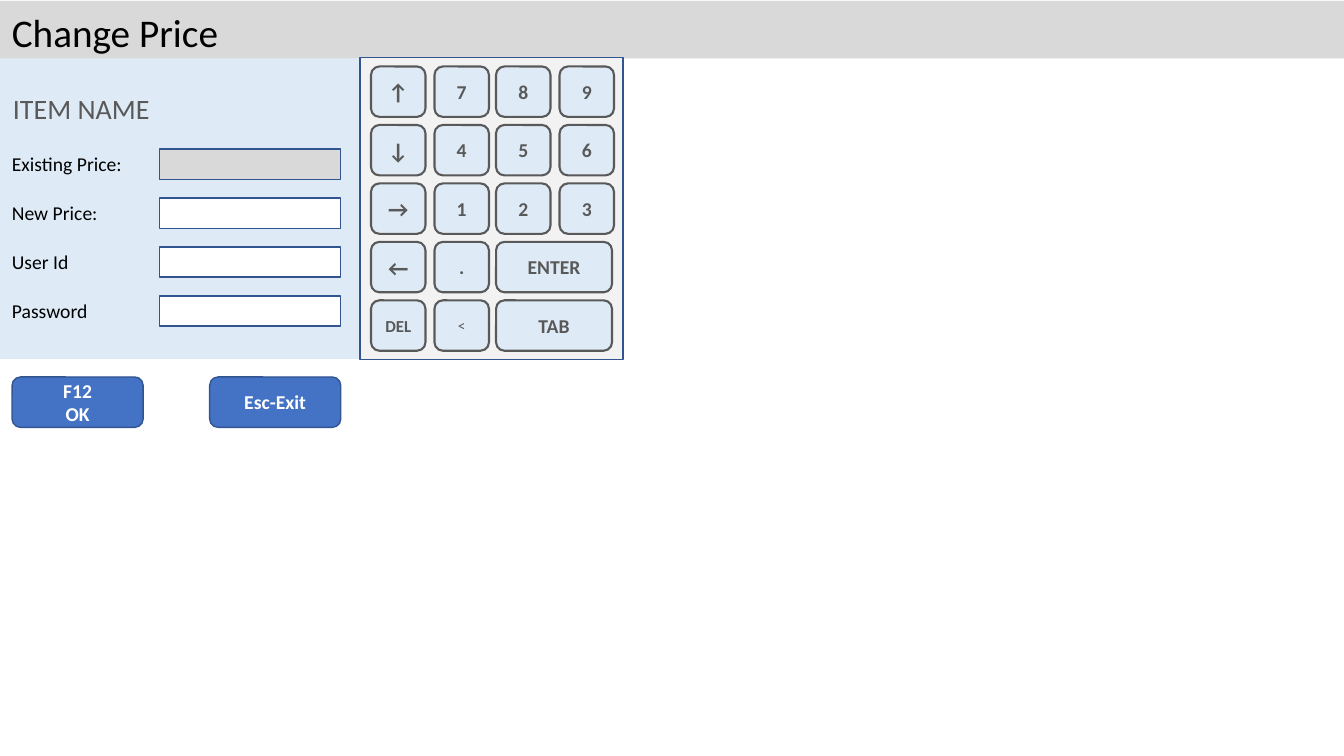
from dataclasses import dataclass

import pptx
import pptx.dml.color
import pptx.enum.shapes
import pptx.enum.text
import pptx.util

Inches = pptx.util.Inches
SHAPES = pptx.enum.shapes.MSO_SHAPE
ALIGN = pptx.enum.text.PP_ALIGN
ANCHOR = pptx.enum.text.MSO_ANCHOR

FONT = "Calibri"
BLACK, WHITE, GREY = "000000", "FFFFFF", "595959"
PALE_BLUE, LIGHT_GREY, PAD_GREY = "DEEBF7", "D9D9D9", "F2F2F2"
BLUE, DARK_BLUE = "4472C4", "325491"

FIELD_TOP, FIELD_PITCH = 1.48, 0.485
KEY_COLUMNS = (3.68, 4.31, 4.92, 5.55)
KEY_TOP, KEY_PITCH = 0.66, 0.58
KEY_WIDTH, WIDE_KEY_WIDTH, KEY_HEIGHT = 0.54, 1.15, 0.5


@dataclass
class Field:
    label: str
    fill: str = WHITE


@dataclass
class Key:
    text: str
    size: float = 14
    bold: bool = True
    width: float = KEY_WIDTH


@dataclass
class Button:
    text: str
    left: float


FIELDS = [Field("Existing Price:", LIGHT_GREY), Field("New Price:"),
          Field("User Id"), Field("Password")]

KEY_ROWS = [
    [Key("↑", 16), Key("7"), Key("8"), Key("9")],
    [Key("↓", 16), Key("4"), Key("5"), Key("6")],
    [Key("→", 16), Key("1"), Key("2"), Key("3")],
    [Key("←", 16), Key("."), Key("ENTER", width=WIDE_KEY_WIDTH)],
    [Key("DEL", 12), Key("<", 11, False), Key("TAB", width=WIDE_KEY_WIDTH)],
]

BUTTONS = [Button("F12\nOK", 0.12), Button("Esc-Exit", 2.08)]


def colour(value: str) -> pptx.dml.color.RGBColor:
    return pptx.dml.color.RGBColor.from_string(value)


def write(box, text: str, *, size: float, color: str = BLACK,
          bold: bool = False, align=ALIGN.LEFT, anchor=ANCHOR.TOP) -> None:
    """Fill a box with text, one paragraph for each line."""
    frame = box.text_frame
    frame.word_wrap = True
    frame.vertical_anchor = anchor
    frame.text = text
    for para in frame.paragraphs:
        para.alignment = align
        for span in para.runs:
            span.font.name = FONT
            span.font.size = pptx.util.Pt(size)
            span.font.bold = bold
            span.font.color.rgb = colour(color)


def add_box(page, left: float, top: float, width: float, height: float, *,
            fill: str, line: str = "", weight: float = 1, kind=SHAPES.RECTANGLE):
    box = page.shapes.add_shape(kind, Inches(left), Inches(top),
                                Inches(width), Inches(height))
    box.shadow.inherit = False
    box.fill.solid()
    box.fill.fore_color.rgb = colour(fill)
    if line:
        box.line.color.rgb = colour(line)
        box.line.width = pptx.util.Pt(weight)
    else:
        box.line.fill.background()
    return box


def add_label(page, text: str, left: float, top: float, width: float,
              height: float, *, size: float, color: str = BLACK) -> None:
    box = page.shapes.add_textbox(Inches(left), Inches(top),
                                  Inches(width), Inches(height))
    write(box, text, size=size, color=color)


def add_field(page, field: Field, top: float) -> None:
    add_box(page, 1.58, top, 1.8, 0.3, fill=field.fill, line=DARK_BLUE)
    add_label(page, field.label, 0.02, top - 0.02, 1.6, 0.34, size=14)


def add_key(page, key: Key, left: float, top: float) -> None:
    box = add_box(page, left, top, key.width, KEY_HEIGHT, fill=PALE_BLUE,
                  line=GREY, weight=1.5, kind=SHAPES.ROUNDED_RECTANGLE)
    write(box, key.text, size=key.size, color=GREY, bold=key.bold,
          align=ALIGN.CENTER, anchor=ANCHOR.MIDDLE)


def add_button(page, button: Button) -> None:
    box = add_box(page, button.left, 3.74, 1.3, 0.5, fill=BLUE,
                  line=DARK_BLUE, kind=SHAPES.ROUNDED_RECTANGLE)
    write(box, button.text, size=14, color=WHITE, bold=True,
          align=ALIGN.CENTER, anchor=ANCHOR.MIDDLE)


def main() -> None:
    deck = pptx.Presentation()
    deck.slide_width, deck.slide_height = Inches(13.33), Inches(7.5)
    page = deck.slides.add_slide(deck.slide_layouts[6])

    # Form panel and title bar
    add_box(page, 0, 0.55, 3.56, 3.01, fill=PALE_BLUE)
    add_box(page, 0, 0.01, 13.33, 0.57, fill=LIGHT_GREY)
    add_label(page, "Change Price", 0.02, 0.03, 3.14, 0.57, size=28)
    add_label(page, "ITEM NAME", 0.03, 0.86, 3.29, 0.44, size=20, color=GREY)

    # Form fields and buttons
    for row, field in enumerate(FIELDS):
        add_field(page, field, FIELD_TOP + row * FIELD_PITCH)
    for button in BUTTONS:
        add_button(page, button)

    # Keypad
    add_box(page, 3.57, 0.57, 2.61, 3, fill=PAD_GREY, line=DARK_BLUE)
    for row, keys in enumerate(KEY_ROWS):
        for left, key in zip(KEY_COLUMNS, keys):
            add_key(page, key, left, KEY_TOP + row * KEY_PITCH)

    deck.save("out.pptx")


if __name__ == "__main__":
    main()
